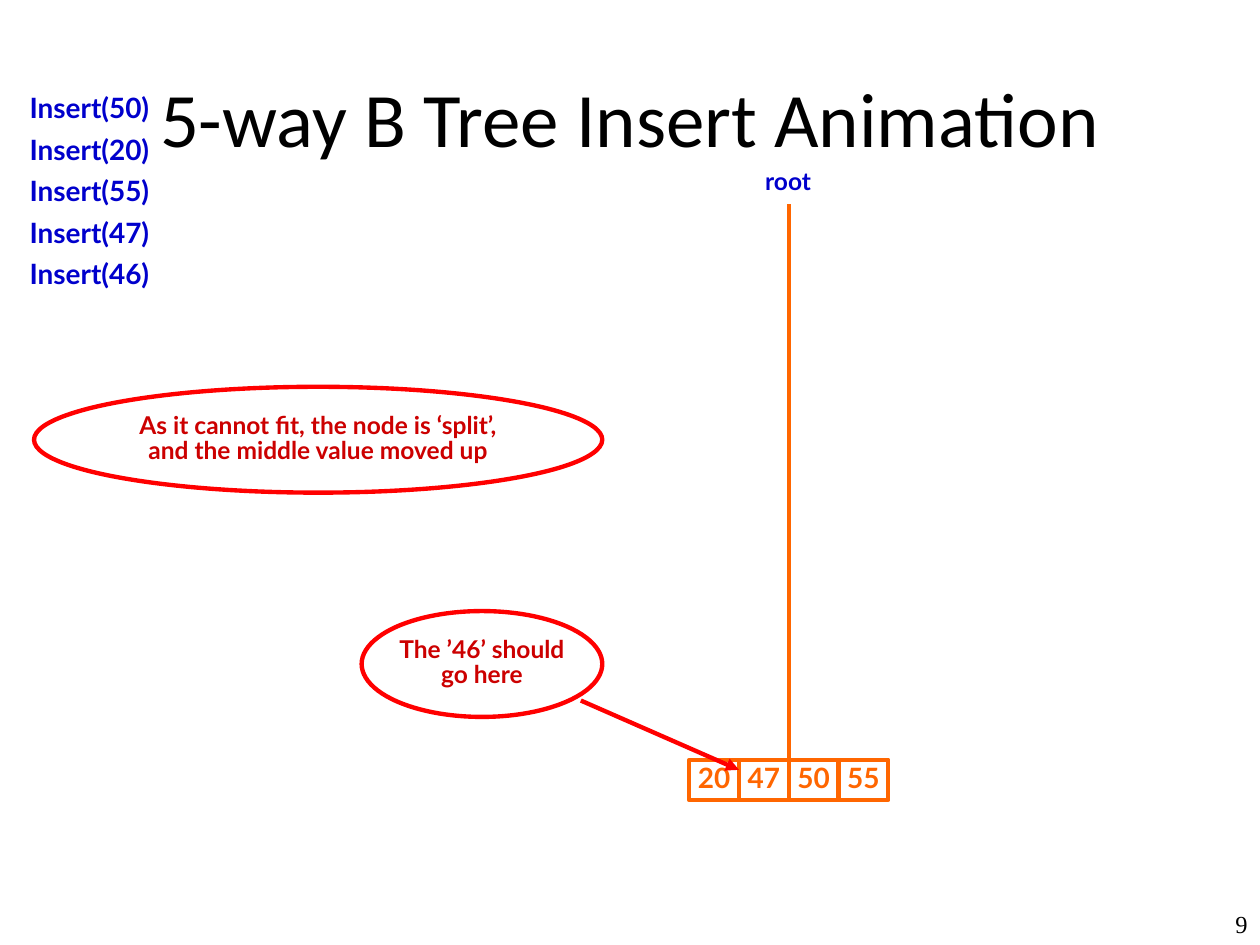
"""Build the B tree insertion slide."""
from dataclasses import dataclass

from lxml import etree
from pptx import Presentation
from pptx.dml.color import RGBColor
from pptx.enum import shapes, text
from pptx.oxml import ns
from pptx.util import Inches, Pt


@dataclass(frozen=True)
class Theme:
    ink: str = "000000"
    operation: str = "0000CC"
    node: str = "FF6600"
    callout: str = "FF0000"
    remark: str = "CC0000"
    title_font: str = "Calibri"
    body_font: str = "Lato"
    number_font: str = "Times New Roman"
    title_size: int = 44
    key_size: int = 16
    note_size: int = 14
    stroke: float = 2.5
    spacing: float = 0.85


@dataclass(frozen=True)
class Box:
    left: float
    top: float
    width: float
    height: float

    def lengths(self) -> tuple:
        return tuple(map(Inches, (self.left, self.top, self.width, self.height)))


@dataclass(frozen=True)
class Remark:
    wording: str
    box: Box


THEME = Theme()
OPERATIONS = [50, 20, 55, 47, 46]
OPERATION_TOP, OPERATION_STEP = 0.76, 0.33
KEYS = [20, 47, 50, 55]
NODE_LEFT, NODE_TOP = 5.47, 6.03
KEY_WIDTH, KEY_HEIGHT = 0.395, 0.32
ROOT_X = NODE_LEFT + 2 * KEY_WIDTH
REMARKS = [
    Remark("The ’46’ should go here", Box(2.87, 4.85, 1.91, 0.84)),
    Remark("As it cannot fit, the node is ‘split’, and the middle value moved up",
           Box(0.27, 3.07, 4.51, 0.84)),
]


def write(holder, wording: str, *, size: float, color: str, font: str = THEME.body_font,
          bold: bool = True, align=text.PP_ALIGN.CENTER, anchor=text.MSO_ANCHOR.MIDDLE,
          spacing: float = THEME.spacing, before: float = 0, wrap: bool = True,
          margins: tuple = (0, 0)) -> None:
    """Put one formatted paragraph into a shape."""
    frame = holder.text_frame
    frame.word_wrap = wrap
    frame.vertical_anchor = anchor
    frame.margin_left = frame.margin_right = Inches(margins[0])
    frame.margin_top = frame.margin_bottom = Inches(margins[1])
    paragraph = frame.paragraphs[0]
    paragraph.alignment = align
    paragraph.line_spacing = spacing
    paragraph.space_before = Pt(before)
    run = paragraph.add_run()
    run.text = wording
    run.font.name = font
    run.font.size = Pt(size)
    run.font.bold = bold
    run.font.color.rgb = RGBColor.from_string(color)


def add_label(slide, box: Box, wording: str, **style) -> None:
    """Add a text box."""
    write(slide.shapes.add_textbox(*box.lengths()), wording, **style)


def add_outline(slide, kind, box: Box, stroke: str, wording: str, **style) -> None:
    """Add an unfilled shape with text."""
    outline = slide.shapes.add_shape(kind, *box.lengths())
    outline.shadow.inherit = False
    outline.fill.background()
    outline.line.color.rgb = RGBColor.from_string(stroke)
    outline.line.width = Pt(THEME.stroke)
    write(outline, wording, **style)


def add_link(slide, start: tuple, end: tuple, color: str, arrow: bool = False) -> None:
    """Add a straight line, with an arrowhead at its end if wanted."""
    link = slide.shapes.add_connector(
        shapes.MSO_CONNECTOR.STRAIGHT, *map(Inches, (*start, *end)))
    link.line.color.rgb = RGBColor.from_string(color)
    link.line.width = Pt(THEME.stroke)
    if arrow:
        etree.SubElement(link.line._get_or_add_ln(), ns.qn("a:tailEnd"), type="triangle")
    etree.SubElement(link._element.spPr, ns.qn("a:effectLst"))


def main() -> None:
    """Draw the slide and save it."""
    deck = Presentation()
    deck.slide_width, deck.slide_height = Inches(10), Inches(7.5)
    slide = deck.slides.add_slide(deck.slide_layouts[6])
    top = text.MSO_ANCHOR.TOP

    add_label(slide, Box(0.5, 0.3, 9, 1.25), "5-way B Tree Insert Animation",
              size=THEME.title_size, color=THEME.ink, font=THEME.title_font,
              bold=False, spacing=1, margins=(0.1, 0.05))
    add_label(slide, Box(9.36, 7.22, 0.64, 0.28), "9", size=THEME.note_size,
              color=THEME.ink, font=THEME.number_font, bold=False, spacing=0.75,
              align=text.PP_ALIGN.RIGHT, anchor=top, margins=(0.1, 0.05))
    for row, value in enumerate(OPERATIONS):
        add_label(slide, Box(0, OPERATION_TOP + row * OPERATION_STEP, 1.42, 0.23),
                  f"Insert({value})", size=THEME.key_size, color=THEME.operation,
                  anchor=top, before=10)

    add_label(slide, Box(5.94, 1.35, 0.63, 0.2), "root", size=THEME.note_size,
              color=THEME.operation, anchor=top, before=8.8)
    add_link(slide, (ROOT_X, 1.62), (ROOT_X, NODE_TOP), THEME.node)
    for column, key in enumerate(KEYS):
        cell = Box(NODE_LEFT + column * KEY_WIDTH, NODE_TOP, KEY_WIDTH, KEY_HEIGHT)
        add_outline(slide, shapes.MSO_SHAPE.RECTANGLE, cell, THEME.node, str(key),
                    size=THEME.key_size, color=THEME.node, wrap=False)

    for remark in REMARKS:
        add_outline(slide, shapes.MSO_SHAPE.OVAL, remark.box, THEME.callout,
                    remark.wording, size=THEME.note_size, color=THEME.remark)
    add_link(slide, (4.61, 5.56), (NODE_LEFT + KEY_WIDTH, 6.11), THEME.callout, arrow=True)

    deck.save("out.pptx")


if __name__ == "__main__":
    main()
